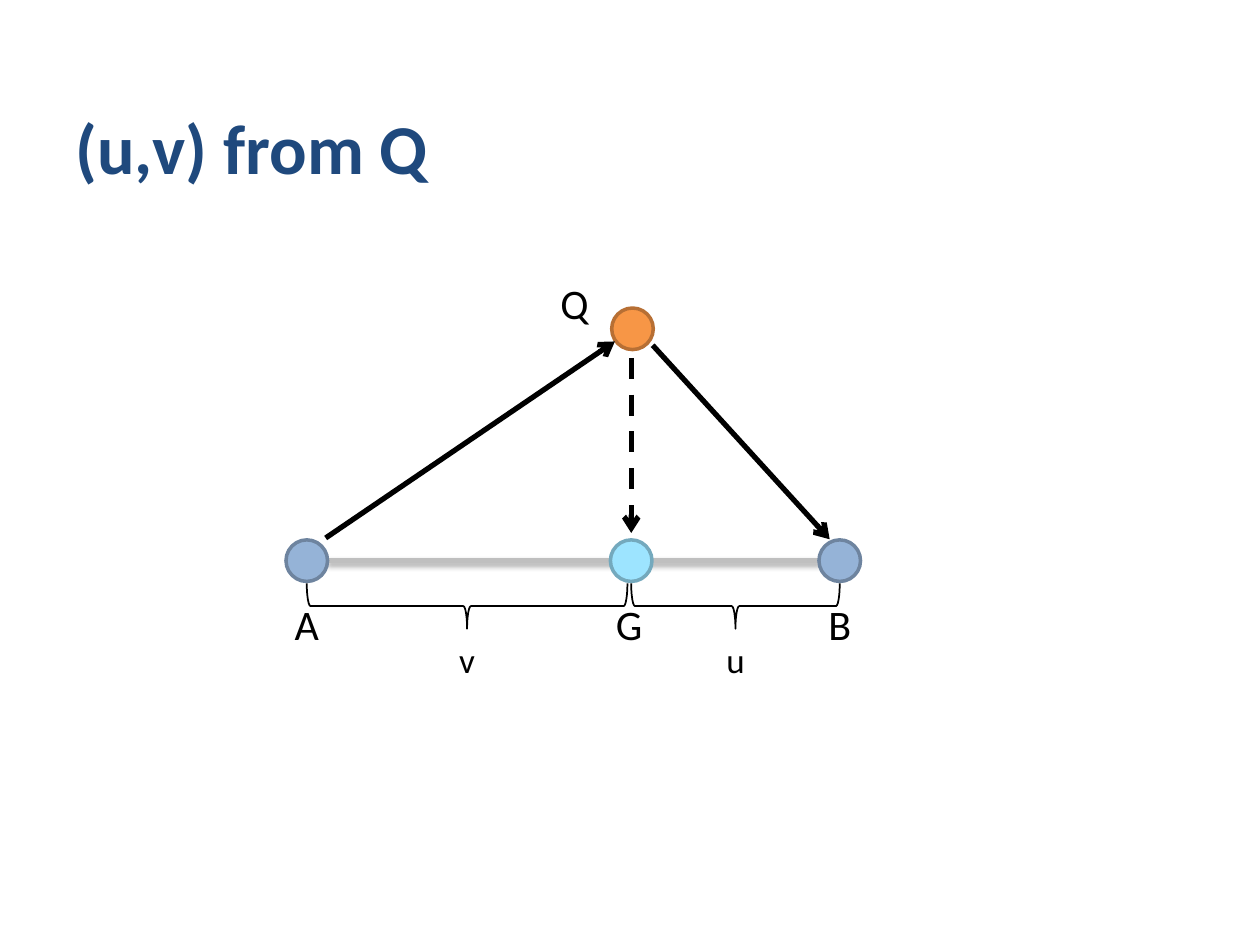
from lxml import etree
from pptx import Presentation
from pptx.dml.color import RGBColor
from pptx.enum.dml import MSO_LINE
from pptx.enum.shapes import MSO_CONNECTOR, MSO_SHAPE
from pptx.enum.text import MSO_ANCHOR, MSO_AUTO_SIZE, PP_ALIGN
from pptx.oxml.ns import qn
from pptx.util import Inches, Pt

STRAIGHT = MSO_CONNECTOR.STRAIGHT
OVAL, BRACE = MSO_SHAPE.OVAL, MSO_SHAPE.LEFT_BRACE
DASH = MSO_LINE.DASH
LEFT, CENTER = PP_ALIGN.LEFT, PP_ALIGN.CENTER
BOTTOM, TOP = MSO_ANCHOR.BOTTOM, MSO_ANCHOR.TOP
FIT_SHAPE = MSO_AUTO_SIZE.SHAPE_TO_FIT_TEXT
FONT = "Calibri"
BLACK = "000000"
DOT_SIZE = 0.33
BRACE_DEPTH = 0.36


def color(value):
    """Return the colour for a hex string."""
    return RGBColor.from_string(value)


def write_text(frame, text, size, hue=BLACK, bold=False, align=CENTER, anchor=TOP):
    """Write one formatted line into a text frame."""
    frame.vertical_anchor = anchor
    para = frame.paragraphs[0]
    para.alignment = align
    span = para.add_run()
    span.text = text
    span.font.name = FONT
    span.font.size = Pt(size)
    span.font.bold = bold
    span.font.color.rgb = color(hue)


def add_label(page, text, center, top, size=24, height=0.5):
    """Add a short label centred on a horizontal position."""
    width = 0.4
    box = page.shapes.add_textbox(
        Inches(center - width / 2), Inches(top), Inches(width), Inches(height))
    box.text_frame.word_wrap = False
    box.text_frame.auto_size = FIT_SHAPE
    write_text(box.text_frame, text, size)


def add_dot(page, center, fill, outline):
    """Add a round point about its centre."""
    x, y = center
    dot = page.shapes.add_shape(
        OVAL, Inches(x - DOT_SIZE / 2), Inches(y - DOT_SIZE / 2),
        Inches(DOT_SIZE), Inches(DOT_SIZE))
    dot.shadow.inherit = False
    dot.fill.solid()
    dot.fill.fore_color.rgb = color(fill)
    dot.line.color.rgb = color(outline)
    dot.line.width = Pt(2)


def add_brace(page, start, end, top):
    """Add a brace that opens upward and spans start to end."""
    length = end - start
    middle_x, middle_y = (start + end) / 2, top + BRACE_DEPTH / 2
    brace = page.shapes.add_shape(
        BRACE, Inches(middle_x - BRACE_DEPTH / 2), Inches(middle_y - length / 2),
        Inches(BRACE_DEPTH), Inches(length))
    brace.rotation = 270
    brace.shadow.inherit = False
    brace.fill.background()
    brace.line.color.rgb = color(BLACK)
    brace.line.width = Pt(1)


def add_line(page, start, end, hue=BLACK, dash=None, arrow=False):
    """Add a straight line and return it with its empty effect list."""
    line = page.shapes.add_connector(STRAIGHT, *map(Inches, start + end))
    line.line.color.rgb = color(hue)
    line.line.width = Pt(3)
    if dash:
        line.line.dash_style = dash
    properties = line.element.spPr
    if arrow:
        etree.SubElement(properties.find(qn("a:ln")), qn("a:tailEnd"), type="arrow")
    return line, etree.SubElement(properties, qn("a:effectLst"))


def add_shadow(effects):
    """Put a soft shadow straight below a line."""
    shadow = etree.SubElement(
        effects, qn("a:outerShdw"), blurRad=str(Pt(3.1)), dist=str(Pt(1.8)),
        dir="5400000", rotWithShape="0")
    hue = etree.SubElement(shadow, qn("a:srgbClr"), val=BLACK)
    etree.SubElement(hue, qn("a:alpha"), val="35000")


def place_title(page, text, left, top, width, height):
    """Place and format the slide title."""
    title = page.shapes.title
    title.left, title.top = Inches(left), Inches(top)
    title.width, title.height = Inches(width), Inches(height)
    write_text(title.text_frame, text, 40, "1F497D", True, LEFT, BOTTOM)


def draw_projection(page, left, top, width, height):
    """Draw the projection of Q onto segment AB inside a box."""
    radius = DOT_SIZE / 2
    a_x, b_x = left + radius, left + width - radius
    g_x = left + 2.74
    q_y, base_y = top + 0.46, top + 2.3
    q_label_x = g_x - 0.46
    names_y, lengths_y = top + 2.55, top + height - 0.44

    axis, effects = add_line(
        page, (a_x + radius, base_y), (b_x - radius, base_y), "BFBFBF")
    add_shadow(effects)

    for x, y, fill, outline in (
            (b_x, base_y, "95B3D7", "6E849F"),
            (a_x, base_y, "95B3D7", "6E849F"),
            (g_x, base_y, "9DE4FF", "74A9BD"),
            (g_x + 0.01, q_y, "F79646", "B76F34")):
        add_dot(page, (x, y), fill, outline)

    for text, x, y in (("A", a_x, names_y), ("G", g_x - 0.02, names_y),
                       ("B", b_x, names_y), ("Q", q_label_x, top)):
        add_label(page, text, x, y)

    for text, start, end in (("v", a_x, g_x - 0.03), ("u", g_x, b_x)):
        add_brace(page, start, end, base_y + 0.18)
        add_label(page, text, (start + end) / 2, lengths_y, 20, 0.44)

    arrow_y = base_y - 0.17
    add_line(page, (g_x + 0.17, q_y + 0.13), (b_x - 0.08, arrow_y), arrow=True)
    add_line(page, (g_x, q_y + 0.23), (g_x, arrow_y - 0.05), dash=DASH, arrow=True)
    add_line(page, (a_x + 0.15, arrow_y - 0.01), (g_x - 0.13, q_y + 0.1), arrow=True)


def main():
    """Build the slide and save the deck."""
    deck = Presentation()
    deck.slide_width, deck.slide_height = Inches(10), Inches(7.5)
    page = deck.slides.add_slide(deck.slide_layouts[5])
    place_title(page, "(u,v) from Q", 0.5, 0.13, 8.25, 1.42)
    draw_projection(page, 2.27, 2.15, 4.56, 3.31)
    deck.save("out.pptx")


if __name__ == "__main__":
    main()
